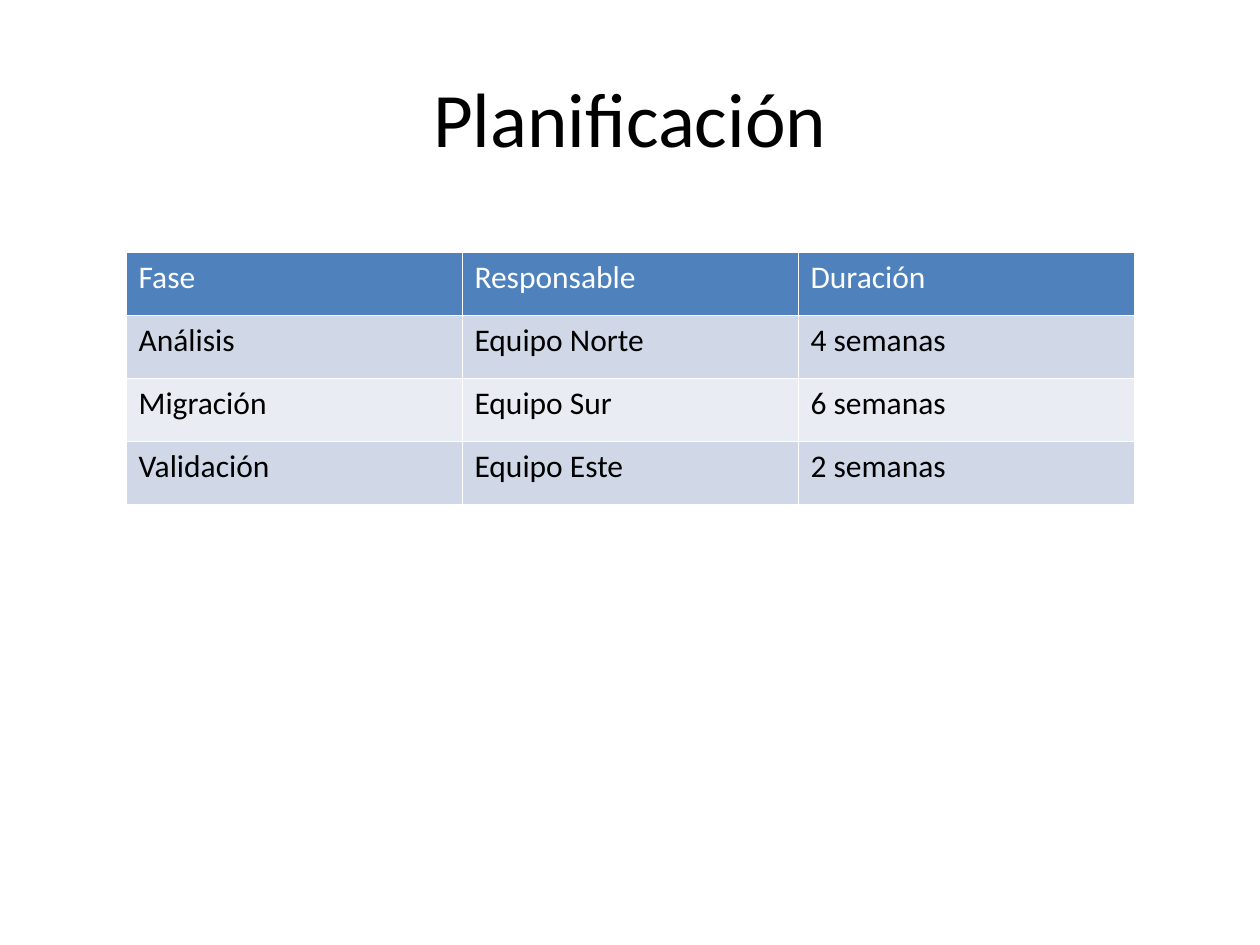
from dataclasses import dataclass

from lxml.etree import SubElement
from pptx import Presentation
from pptx.dml.color import RGBColor as Rgb
from pptx.enum.text import MSO_ANCHOR as Anchor, PP_ALIGN as Align
from pptx.oxml.ns import qn
from pptx.util import Pt


@dataclass(frozen=True)
class Theme:
    font: str = "Calibri"
    title_size: float = 44
    table_size: float = 18
    border_width: float = 0.45
    line_spacing: float = 0.98
    dark: str = "000000"
    light: str = "FFFFFF"
    header_fill: str = "4F81BD"
    band_fills: tuple[str, str] = ("D0D8E7", "E9ECF3")


@dataclass(frozen=True)
class Box:
    left: float
    top: float
    width: float
    height: float

    def lengths(self) -> tuple[Pt, Pt, Pt, Pt]:
        return Pt(self.left), Pt(self.top), Pt(self.width), Pt(self.height)


@dataclass(frozen=True)
class Phase:
    name: str
    team: str
    duration: str


THEME = Theme()
TITLE_BOX = Box(36, 21.6, 648, 90)
PLAN_BOX = Box(72, 144, 576, 144)
HEADER = Phase("Fase", "Responsable", "Duración")
PHASES = [
    Phase("Análisis", "Equipo Norte", "4 semanas"),
    Phase("Migración", "Equipo Sur", "6 semanas"),
    Phase("Validación", "Equipo Este", "2 semanas"),
]


def add_run(paragraph, text: str, size: float, color: str) -> None:
    run = paragraph.add_run()
    run.text = text
    run.font.name = THEME.font
    run.font.size = Pt(size)
    run.font.bold = False
    run.font.color.rgb = Rgb.from_string(color)


def add_title(slide, text: str, box: Box) -> None:
    frame = slide.shapes.add_textbox(*box.lengths()).text_frame
    frame.word_wrap = True
    frame.vertical_anchor = Anchor.MIDDLE
    paragraph = frame.paragraphs[0]
    paragraph.alignment = Align.CENTER
    add_run(paragraph, text, THEME.title_size, THEME.dark)


def set_borders(cell) -> None:
    properties = cell._tc.get_or_add_tcPr()
    for side in ("lnL", "lnR", "lnT", "lnB"):
        line = SubElement(properties, qn(f"a:{side}"), w=str(int(Pt(THEME.border_width))))
        fill = SubElement(line, qn("a:solidFill"))
        SubElement(fill, qn("a:srgbClr"), val=THEME.light)


def fill_cell(cell, text: str, color: str, background: str) -> None:
    # Borders come before the fill in the cell properties
    set_borders(cell)
    cell.fill.solid()
    cell.fill.fore_color.rgb = Rgb.from_string(background)
    paragraph = cell.text_frame.paragraphs[0]
    paragraph.line_spacing = THEME.line_spacing
    add_run(paragraph, text, THEME.table_size, color)


def add_plan(slide, header: Phase, phases: list[Phase], box: Box) -> None:
    entries = [header, *phases]
    plan = slide.shapes.add_table(len(entries), 3, *box.lengths()).table
    for row, entry in enumerate(entries):
        is_header = row == 0
        color = THEME.light if is_header else THEME.dark
        background = THEME.header_fill if is_header else THEME.band_fills[(row - 1) % 2]
        for column, text in enumerate((entry.name, entry.team, entry.duration)):
            fill_cell(plan.cell(row, column), text, color, background)


def main() -> None:
    deck = Presentation()
    deck.slide_width, deck.slide_height = Pt(720), Pt(540)
    slide = deck.slides.add_slide(deck.slide_layouts[6])

    # Heading
    add_title(slide, "Planificación", TITLE_BOX)

    # Phase schedule
    add_plan(slide, HEADER, PHASES, PLAN_BOX)

    deck.save("out.pptx")


if __name__ == "__main__":
    main()
